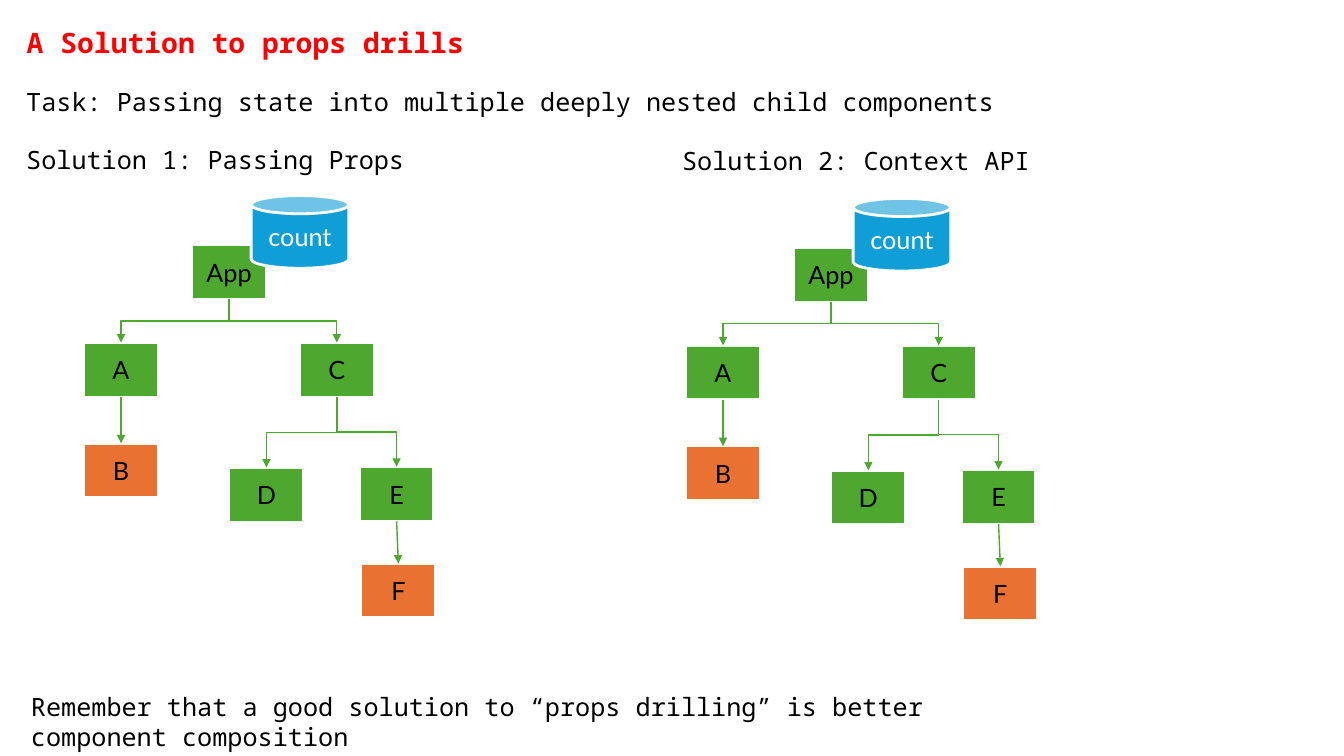
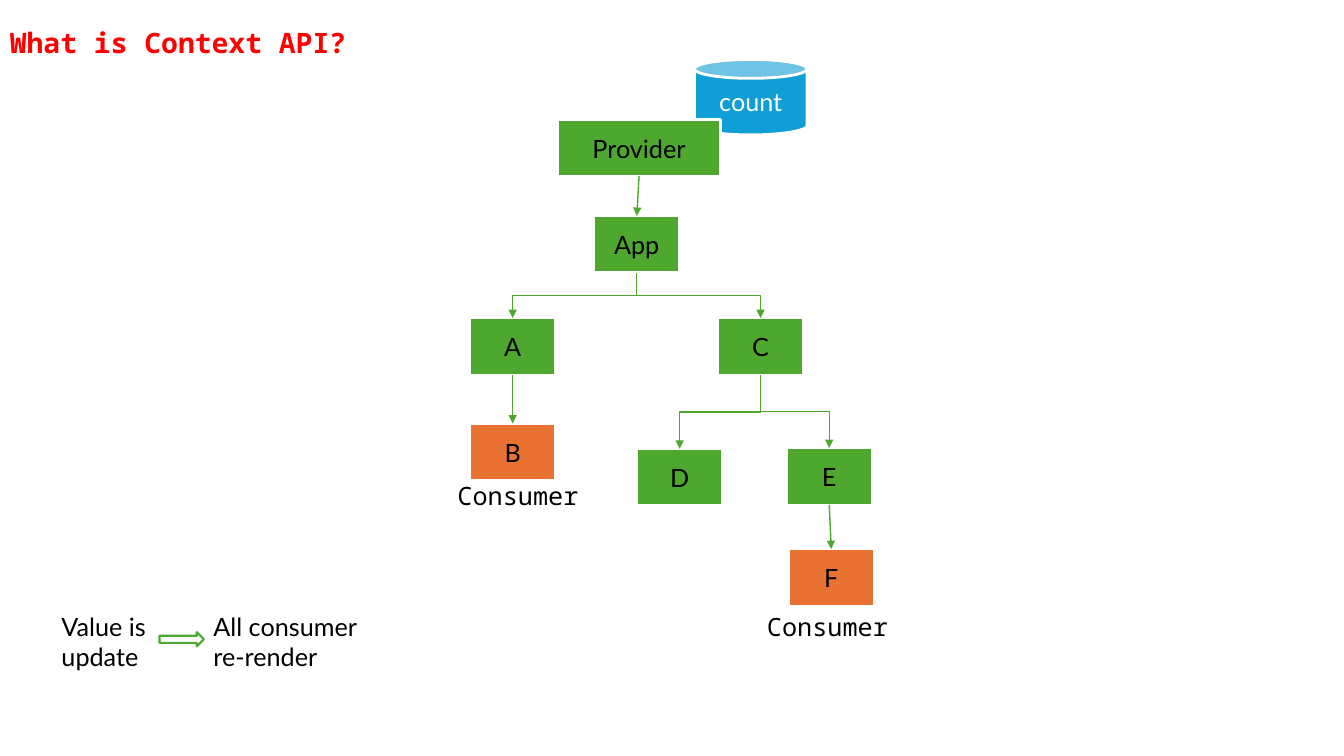
from pptx import Presentation
from pptx.dml.color import RGBColor
from pptx.enum.shapes import MSO_CONNECTOR as Link, MSO_SHAPE as Preset
from pptx.enum.text import MSO_ANCHOR as Anchor, PP_ALIGN as Align
from pptx.oxml.ns import qn
from pptx.util import Cm, Pt
from lxml.etree import SubElement

RED = RGBColor(0xFF, 0x00, 0x00)
BLACK = RGBColor(0x00, 0x00, 0x00)
WHITE = RGBColor(0xFF, 0xFF, 0xFF)
GREEN = RGBColor(0x4E, 0xA7, 0x2E)
ORANGE = RGBColor(0xE9, 0x71, 0x32)
BLUE = RGBColor(0x0F, 0x9E, 0xD5)
MONO = "Noto Sans Mono"
SANS = "Lato"

NODE_WIDTH, NODE_HEIGHT = 0.212, 0.146
TREE_NODES = {
    "App": (0.307, 0, GREEN),
    "A": (0, 0.262, GREEN),
    "C": (0.613, 0.262, GREEN),
    "B": (0, 0.532, ORANGE),
    "D": (0.413, 0.597, GREEN),
    "E": (0.783, 0.595, GREEN),
    "F": (0.788, 0.854, ORANGE),
}
TREE_BRANCHES = [("App", "A"), ("App", "C"), ("C", "D"), ("C", "E")]
TREE_STEMS = [("E", "F"), ("A", "B")]


def write(shape, text, font=MONO, size=18, color=BLACK, bold=False,
          align=Align.LEFT, anchor=Anchor.TOP, spacing=None):
    """Put formatted text into a shape."""
    frame = shape.text_frame
    frame.word_wrap = True
    frame.vertical_anchor = anchor
    para = frame.paragraphs[0]
    para.alignment = align
    para.line_spacing = spacing
    span = para.add_run()
    span.text = text
    span.font.name = font
    span.font.size = Pt(size)
    span.font.color.rgb = color
    span.font.bold = bold


def add_text(page, text, left, top, width, height=1.02, **style):
    """Add a text box, measured in centimetres."""
    box = page.shapes.add_textbox(Cm(left), Cm(top), Cm(width), Cm(height))
    write(box, text, **style)


def add_title(page, text):
    """Add the red slide title."""
    add_text(page, text, 0, 0.56, 12.45, 1.12, size=20, color=RED, bold=True,
             anchor=Anchor.MIDDLE, spacing=0.9)


def add_block(page, left, top, width, height, text="", preset=Preset.RECTANGLE,
              fill=GREEN, line=WHITE, weight=2, color=BLACK):
    """Add a filled, outlined shape with an optional centred label."""
    block = page.shapes.add_shape(preset, Cm(left), Cm(top), Cm(width), Cm(height))
    block.shadow.inherit = False
    block.fill.solid()
    block.fill.fore_color.rgb = fill
    block.line.color.rgb = line
    block.line.width = Pt(weight)
    if text:
        write(block, text, font=SANS, color=color, align=Align.CENTER,
              anchor=Anchor.MIDDLE)
    return block


def add_store(page, left, top, width, height):
    """Add the cylinder that holds the count state."""
    add_block(page, left, top, width, height, "count", Preset.CAN, BLUE, color=WHITE)


def turn_downward(link):
    """Turn an elbow so that it leaves and arrives vertically."""
    start_x, start_y, end_x, end_y = link.begin_x, link.begin_y, link.end_x, link.end_y
    across, down = abs(end_x - start_x), end_y - start_y
    link.left = (start_x + end_x - down) // 2
    link.top = (start_y + end_y - across) // 2
    link.width, link.height = down, across
    rightward = end_x > start_x
    frame = link._element.spPr.find(qn("a:xfrm"))
    frame.set("rot", "16200000" if rightward else "5400000")
    frame.set("flipH", "1" if rightward else "0")


def add_arrow(page, parent, child, kind=Link.STRAIGHT):
    """Join the bottom of one block to the top of another with an arrow."""
    link = page.shapes.add_connector(kind, 0, 0, 0, 0)
    link.begin_connect(parent, 2)
    link.end_connect(child, 0)
    if kind == Link.ELBOW:
        turn_downward(link)
    link.line.color.rgb = GREEN
    link.line.width = Pt(1)
    SubElement(link.line._get_or_add_ln(), qn("a:tailEnd"), type="triangle")
    SubElement(link._element.spPr, qn("a:effectLst"))


def add_tree(page, left, top, width, height):
    """Draw the component tree inside a box and return its blocks by name."""
    blocks = {
        name: add_block(page, left + x * width, top + y * height,
                        NODE_WIDTH * width, NODE_HEIGHT * height, name, fill=fill)
        for name, (x, y, fill) in TREE_NODES.items()
    }
    for parent, child in TREE_BRANCHES:
        add_arrow(page, blocks[parent], blocks[child], Link.ELBOW)
    for parent, child in TREE_STEMS:
        add_arrow(page, blocks[parent], blocks[child])
    return blocks


def add_solution(page, heading, heading_left, heading_top, left, top):
    """Draw a headed tree whose App component holds the state."""
    add_text(page, heading, heading_left, heading_top, 16.51)
    add_tree(page, left, top, 8.87, 9.4)
    add_store(page, left + 4.22, top - 1.24, 2.46, 1.83)


def add_provider_tree(page, left, top, width, height):
    """Draw the tree under a provider, with its consumers labelled."""
    blocks = add_tree(page, left, top, width, height)
    add_store(page, left + 5.66, top - 3.94, 2.84, 1.9)
    provider = add_block(page, left + 2.21, top - 2.42, 4.11, 1.42, "Provider")
    add_arrow(page, provider, blocks["App"])
    add_text(page, "Consumer", left - 0.56, top + 6.55, 3.65)
    add_text(page, "Consumer", left + 7.24, top + 9.83, 3.65)


def add_update_note(page, left, top):
    """Show that a value update renders all consumers again."""
    add_text(page, "Value is update", left, top, 2.74, 1.8, font=SANS)
    add_text(page, "All consumer re-render", left + 3.83, top, 4.4, 1.8, font=SANS)
    add_block(page, left + 2.72, top + 0.66, 1.12, 0.36, preset=Preset.RIGHT_ARROW,
              fill=WHITE, line=GREEN, weight=1.5)


def build_solutions(page):
    """Build the slide comparing both solutions."""
    add_title(page, " A Solution to props drills")
    add_text(page, "Task: Passing state into multiple deeply nested child components",
             0.41, 2.06, 28.88)
    add_solution(page, "Solution 1: Passing Props", 0.41, 3.5, 2.11, 6.17)
    add_solution(page, "Solution 2: Context API", 16.94, 3.53, 17.28, 6.24)
    add_text(page, "Remember that a good solution to “props drilling” is better "
             "component composition", 0.53, 17.3, 23.42, 1.8)


def build_context(page):
    """Build the slide explaining the Context API."""
    add_title(page, "What is Context API?")
    add_provider_tree(page, 11.84, 5.44, 10.19, 9.83)
    add_update_note(page, 1.3, 15.27)


def main():
    """Build and save the deck."""
    deck = Presentation()
    deck.slide_width, deck.slide_height = Cm(33.87), Cm(19.05)
    for build in (build_solutions, build_context):
        build(deck.slides.add_slide(deck.slide_layouts[6]))
    deck.save("out.pptx")


if __name__ == "__main__":
    main()
